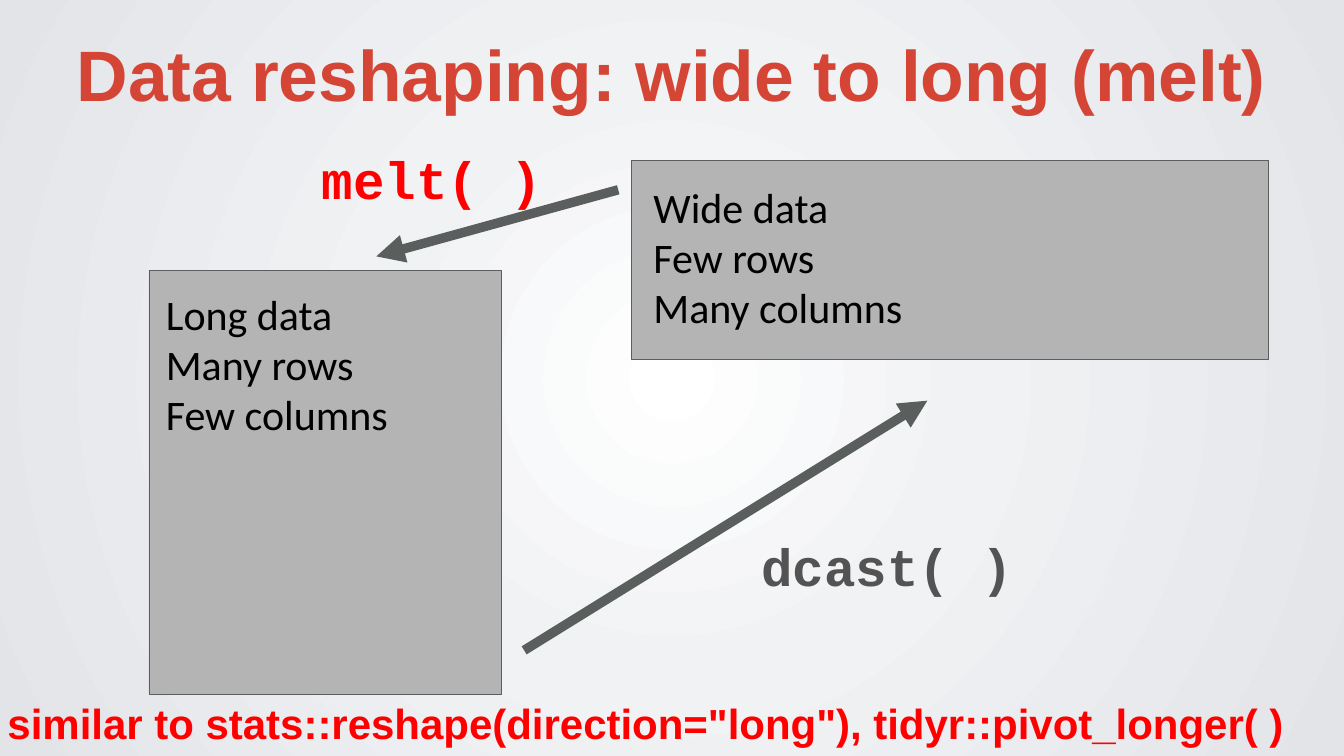
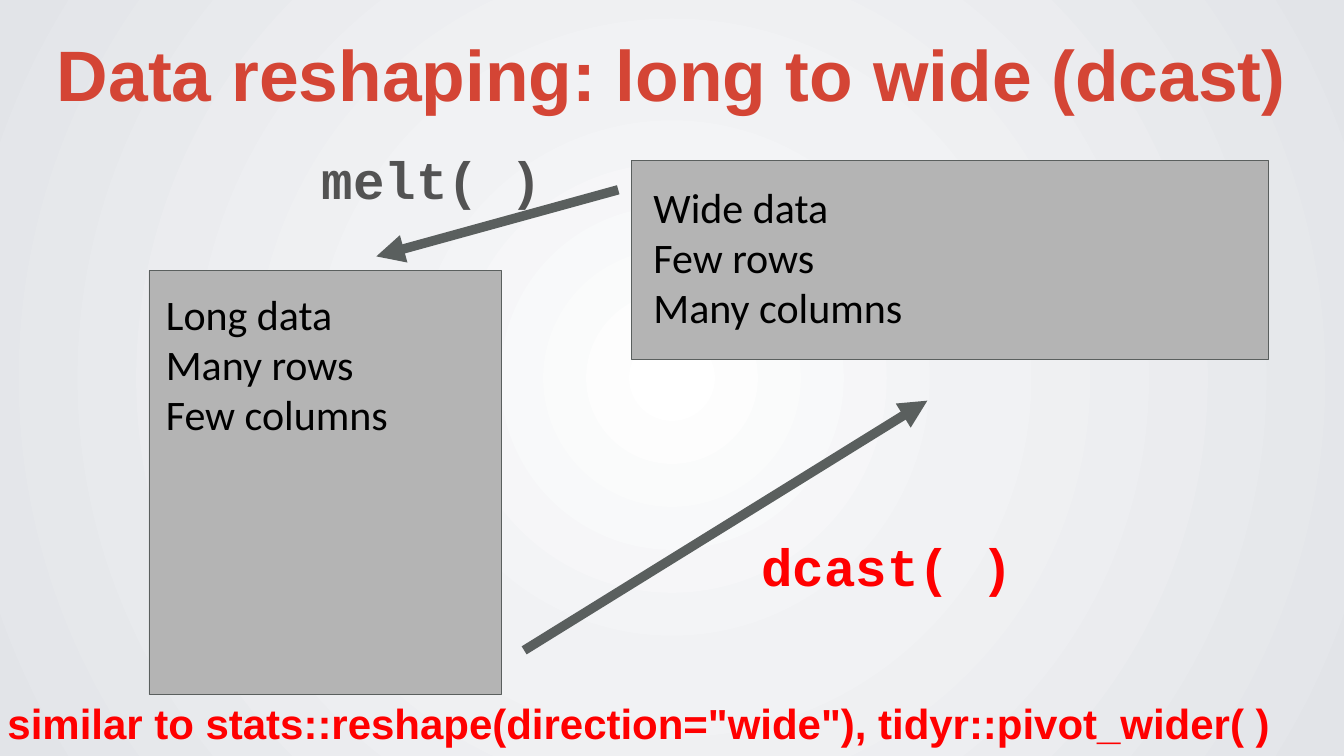
from typing import NamedTuple

from lxml import etree
from pptx import Presentation, util as u
from pptx.dml.color import RGBColor
from pptx.enum import shapes, text
from pptx.oxml import parse_xml
from pptx.oxml.ns import nsdecls, qn

RED = RGBColor(0xFF, 0x00, 0x00)
TITLE_RED = RGBColor(0xD4, 0x45, 0x35)
BLACK = RGBColor(0x00, 0x00, 0x00)
DARK_GRAY = RGBColor(0x53, 0x53, 0x53)
LINE_GRAY = RGBColor(0x5A, 0x5F, 0x5E)
PANEL_GRAY = RGBColor(0xB4, 0xB4, 0xB4)
GLOW = [
    (0, RGBColor(0xFF, 0xFF, 0xFF)),
    (39, RGBColor(0xF1, 0xF2, 0xF4)),
    (100, RGBColor(0xE2, 0xE4, 0xE8)),
]

SLIDE_W, SLIDE_H = u.Inches(17.78), u.Inches(10)
COL, ROW = SLIDE_W / 100, SLIDE_H / 100
TWO_CONTENT = 3


class Box(NamedTuple):
    x: float
    y: float
    w: float
    h: float

    def emu(self):
        return [round(v) for v in
                (self.x * COL, self.y * ROW, self.w * COL, self.h * ROW)]

    def point(self, fx, fy):
        return self.x + self.w * fx, self.y + self.h * fy

    def inset(self, dx, dy):
        return Box(self.x + dx, self.y + dy, self.w - 2 * dx, self.h - 2 * dy)


class Style(NamedTuple):
    font: str
    size: int
    color: RGBColor
    bold: bool = True


TITLE = Style("Arial", 68, TITLE_RED)
LIST = Style("Calibri", 40, BLACK, False)
NOTE = Style("Arial", 40, RED)

TITLE_BOX = Box(0, 3.4, 100, 12.4)
DIAGRAM_BOX = Box(0, 18.5, 100, 73.4)
NOTE_BOX = Box(0, 91.2, 100, 8.8)


def place(sp, box):
    sp.left, sp.top, sp.width, sp.height = box.emu()


def write(sp, lines, style, margin=0.1, align=text.PP_ALIGN.LEFT,
          anchor=text.MSO_ANCHOR.TOP, fit=text.MSO_AUTO_SIZE.NONE):
    tf = sp.text_frame
    tf.word_wrap = True
    tf.auto_size = fit
    tf.vertical_anchor = anchor
    tf.margin_left = tf.margin_right = u.Inches(margin)
    tf.margin_top = tf.margin_bottom = u.Inches(margin)
    for i, line in enumerate(lines):
        p = tf.add_paragraph() if i else tf.paragraphs[0]
        pPr = p._p.get_or_add_pPr()
        pPr.set("marL", "0")
        pPr.set("indent", "0")
        etree.SubElement(pPr, qn("a:buNone"))
        p.alignment = align
        p.space_before = u.Pt(0)
        r = p.add_run()
        r.text = line
        r.font.name = style.font
        r.font.size = u.Pt(style.size)
        r.font.bold = style.bold
        r.font.color.rgb = style.color


def add_label(slide, box, words, style):
    sp = slide.shapes.add_textbox(*box.emu())
    write(sp, [words], style, fit=text.MSO_AUTO_SIZE.SHAPE_TO_FIT_TEXT)


def add_panel(slide, body, box, pad, lines):
    panel = slide.shapes.add_shape(shapes.MSO_SHAPE.RECTANGLE, *box.emu())
    panel.shadow.inherit = False
    panel.fill.solid()
    panel.fill.fore_color.rgb = PANEL_GRAY
    panel.line.color.rgb = LINE_GRAY
    panel.line.width = u.Pt(0.75)
    body._element.addprevious(panel._element)
    place(body, box.inset(*pad))
    write(body, lines, LIST)


def add_arrow(slide, start, end):
    (x1, y1), (x2, y2) = start, end
    arrow = slide.shapes.add_connector(
        shapes.MSO_CONNECTOR.STRAIGHT,
        round(x1 * COL), round(y1 * ROW), round(x2 * COL), round(y2 * ROW))
    arrow.line.color.rgb = LINE_GRAY
    arrow.line.width = u.Pt(9)
    ln = arrow.line._get_or_add_ln()
    etree.SubElement(ln, qn("a:tailEnd"), type="triangle")
    etree.SubElement(arrow._element.spPr, qn("a:effectLst"))


def add_title(slide, box, words):
    sp = slide.shapes.title
    place(sp, box)
    write(sp, [words], TITLE, margin=0.06, align=text.PP_ALIGN.CENTER,
          anchor=text.MSO_ANCHOR.MIDDLE)


def add_diagram(slide, box, active):
    wide = Box(46.96, box.y + 2.7, 47.41, 26.3)
    long = Box(11.08, box.y + 17.3, 26.21, 56.1)
    wide_body, long_body = list(slide.placeholders)[1:3]
    add_panel(slide, wide_body, wide, (1.1, 1.75),
              ["Wide data", "Few rows", "Many columns"])
    add_panel(slide, long_body, long, (0.7, 1.3),
              ["Long data", "Many rows", "Few columns"])
    add_arrow(slide, box.point(0.39, 0.92), box.point(0.69, 0.47))
    add_arrow(slide, box.point(0.46, 0.09), box.point(0.28, 0.21))
    labels = {
        "melt": Box(23.4, box.y, 20, 10.4),
        "dcast": Box(56.07, box.y + 51.1, 24, 10.4),
    }
    for name, label_box in labels.items():
        color = RED if name == active else DARK_GRAY
        add_label(slide, label_box, f"{name}( )",
                  Style("Courier New", 50, color))


def add_reshape_slide(prs, source, target, function, pivot):
    slide = prs.slides.add_slide(prs.slide_layouts[TWO_CONTENT])
    add_title(slide, TITLE_BOX,
              f"Data reshaping: {source} to {target} ({function})")
    add_diagram(slide, DIAGRAM_BOX, function)
    add_label(slide, NOTE_BOX,
              f'similar to stats::reshape(direction="{target}"), '
              f"tidyr::{pivot}( )", NOTE)


def set_background(master):
    master.background.fill.solid()
    bgPr = master.element.xpath(".//p:bgPr")[0]
    stops = "".join(
        f'<a:gs pos="{pos * 1000}"><a:srgbClr val="{color}"/></a:gs>'
        for pos, color in GLOW)
    glow = parse_xml(
        f'<a:gradFill {nsdecls("a")} rotWithShape="1">'
        f"<a:gsLst>{stops}</a:gsLst>"
        '<a:path path="circle">'
        '<a:fillToRect l="50000" t="50000" r="50000" b="50000"/>'
        "</a:path></a:gradFill>")
    bgPr.replace(bgPr[0], glow)


def main():
    prs = Presentation()
    prs.slide_width, prs.slide_height = SLIDE_W, SLIDE_H
    set_background(prs.slide_master)
    add_reshape_slide(prs, "wide", "long", "melt", "pivot_longer")
    add_reshape_slide(prs, "long", "wide", "dcast", "pivot_wider")
    prs.save("out.pptx")


if __name__ == "__main__":
    main()
